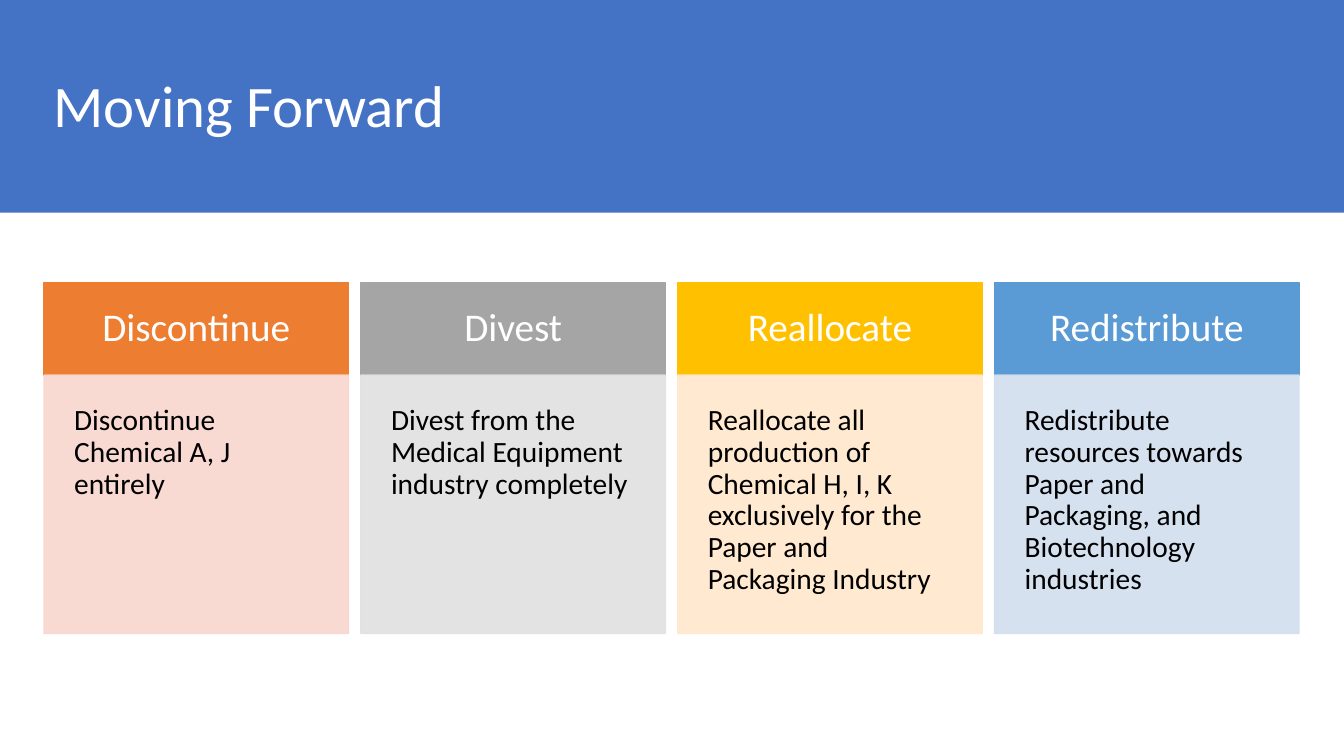
import pptx
import pptx.dml.color
import pptx.enum.shapes
import pptx.enum.text
import pptx.oxml
import pptx.oxml.ns
import pptx.util
from lxml import etree

Pt = pptx.util.Pt
RGBColor = pptx.dml.color.RGBColor
MSO_ANCHOR = pptx.enum.text.MSO_ANCHOR
PP_ALIGN = pptx.enum.text.PP_ALIGN

WHITE = RGBColor(0xFF, 0xFF, 0xFF)
BLACK = RGBColor(0x00, 0x00, 0x00)
BLUE = RGBColor(0x44, 0x72, 0xC4)
ORANGE = RGBColor(0xED, 0x7D, 0x31)
PALE_ORANGE = RGBColor(0xF8, 0xD7, 0xCE)
GREY = RGBColor(0xA5, 0xA5, 0xA5)
PALE_GREY = RGBColor(0xE1, 0xE1, 0xE1)
GOLD = RGBColor(0xFF, 0xC0, 0x00)
PALE_GOLD = RGBColor(0xFF, 0xE8, 0xCC)
SKY = RGBColor(0x5B, 0x9B, 0xD5)
PALE_SKY = RGBColor(0xD2, 0xDE, 0xEF)

TITLE = "Moving Forward"
ACTIONS = [
    ("Discontinue", "Discontinue Chemical A, J entirely", ORANGE, PALE_ORANGE),
    ("Divest", "Divest from the Medical Equipment industry completely",
     GREY, PALE_GREY),
    ("Reallocate", "Reallocate all production of Chemical H, I, K exclusively "
     "for the Paper and Packaging Industry", GOLD, PALE_GOLD),
    ("Redistribute", "Redistribute resources towards Paper and Packaging, and "
     "Biotechnology industries", SKY, PALE_SKY),
]

SLIDE_WIDTH, SLIDE_HEIGHT = 960, 540
BANNER_HEIGHT = 152
COLUMNS_LEFT, COLUMN_WIDTH, COLUMN_STEP = 31.5, 217.5, 226.3
HEADER_TOP, HEADER_HEIGHT, BODY_HEIGHT = 202, 66, 184.5


def add_rectangle(slide, left, top, width, height, color):
    shape = slide.shapes.add_shape(
        pptx.enum.shapes.MSO_SHAPE.RECTANGLE,
        Pt(left), Pt(top), Pt(width), Pt(height))
    shape.shadow.inherit = False
    shape.fill.solid()
    shape.fill.fore_color.rgb = color
    return shape


def add_outline(shape, color):
    shape.line.color.rgb = color
    shape.line.width = Pt(1)


def set_opacity(shape, percent):
    """Apply the opacity to both the fill and the outline."""
    for color in shape.element.spPr.iter(pptx.oxml.ns.qn("a:srgbClr")):
        alpha = etree.SubElement(color, pptx.oxml.ns.qn("a:alpha"))
        alpha.set("val", str(percent * 1000))


def write_text(shape, text, size, color, align, anchor, inset=None):
    frame = shape.text_frame
    frame.text = text
    frame.word_wrap = True
    frame.auto_size = pptx.enum.text.MSO_AUTO_SIZE.NONE
    frame.vertical_anchor = anchor
    if inset is not None:
        frame.margin_left = frame.margin_right = Pt(inset)
        frame.margin_top = frame.margin_bottom = Pt(inset)
    paragraph = frame.paragraphs[0]
    paragraph.alignment = align
    paragraph.line_spacing = 0.9
    paragraph.font.name = "Calibri"
    paragraph.font.size = Pt(size)
    paragraph.font.color.rgb = color


def add_action(slide, left, heading, detail, color, pale_color):
    header = add_rectangle(
        slide, left, HEADER_TOP, COLUMN_WIDTH, HEADER_HEIGHT, color)
    add_outline(header, color)
    write_text(header, heading, 28, WHITE, PP_ALIGN.CENTER,
               MSO_ANCHOR.MIDDLE, 17)

    body = add_rectangle(slide, left, HEADER_TOP + HEADER_HEIGHT,
                         COLUMN_WIDTH, BODY_HEIGHT, pale_color)
    add_outline(body, pale_color)
    set_opacity(body, 90)
    write_text(body, detail, 21, BLACK, PP_ALIGN.LEFT, MSO_ANCHOR.TOP, 21.5)


def main():
    presentation = pptx.Presentation()
    presentation.slide_width = Pt(SLIDE_WIDTH)
    presentation.slide_height = Pt(SLIDE_HEIGHT)
    slide = presentation.slides.add_slide(
        presentation.slide_layouts.get_by_name("Title Only"))

    title = slide.shapes.title
    title.left, title.top = Pt(31), Pt(25)
    title.width, title.height = Pt(898.5), Pt(104.5)
    write_text(title, TITLE, 42, WHITE, PP_ALIGN.LEFT, MSO_ANCHOR.MIDDLE)

    banner = add_rectangle(slide, 0, 0, SLIDE_WIDTH, BANNER_HEIGHT, BLUE)
    banner.line.fill.background()
    title.element.addprevious(banner.element)

    for index, action in enumerate(ACTIONS):
        add_action(slide, COLUMNS_LEFT + index * COLUMN_STEP, *action)

    presentation.save("out.pptx")


if __name__ == "__main__":
    main()
